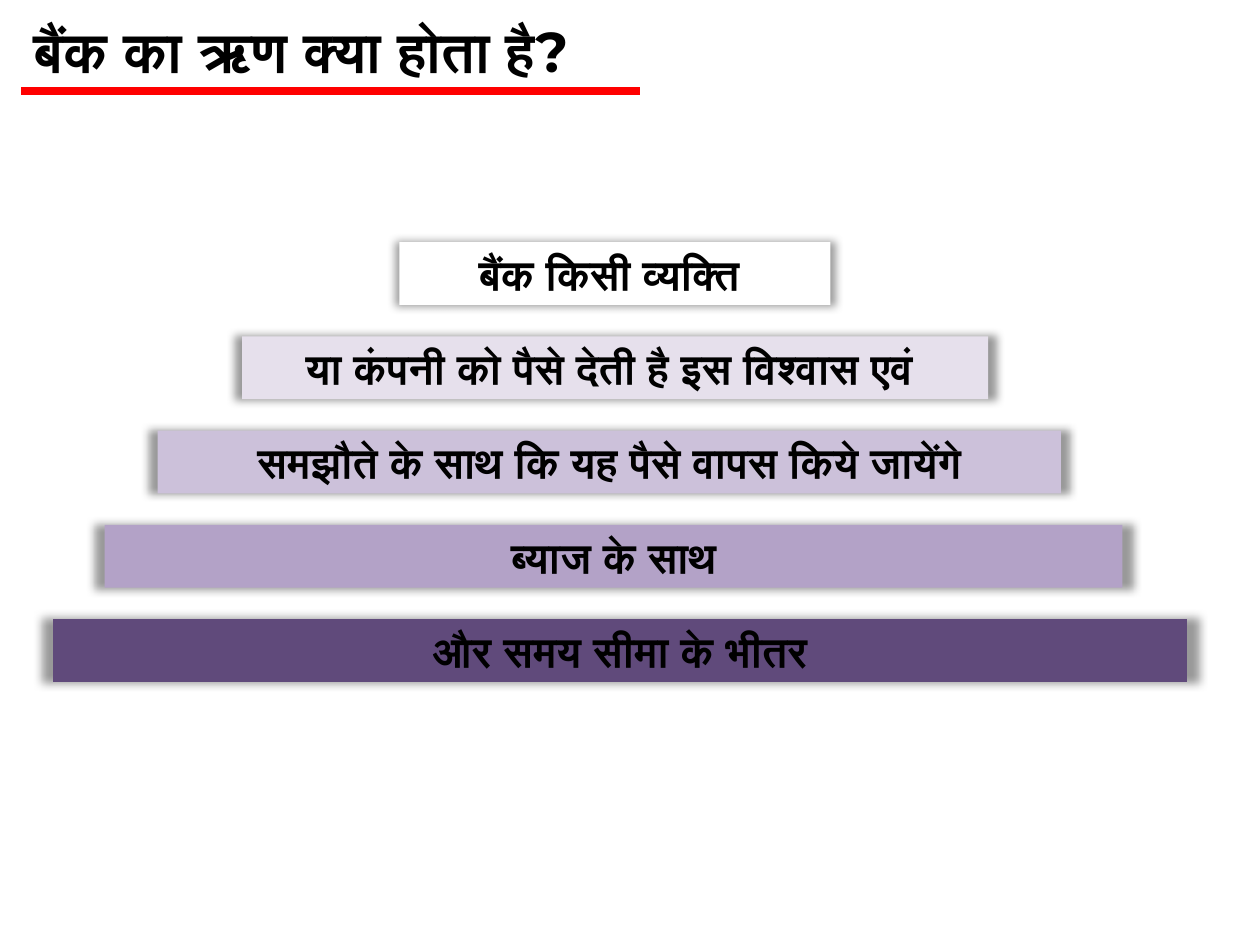
from lxml import etree
from pptx import Presentation
from pptx.dml.color import RGBColor
from pptx.enum.shapes import MSO_CONNECTOR
from pptx.enum.text import MSO_AUTO_SIZE, PP_ALIGN
from pptx.oxml.ns import qn
from pptx.util import Cm, Pt

BLACK = RGBColor(0x00, 0x00, 0x00)
RED = RGBColor(0xFF, 0x00, 0x00)
WHITE = RGBColor(0xFF, 0xFF, 0xFF)
LILAC_PALE = RGBColor(0xE6, 0xE0, 0xEC)
LILAC_LIGHT = RGBColor(0xCC, 0xC1, 0xDA)
LILAC = RGBColor(0xB3, 0xA2, 0xC7)
PURPLE = RGBColor(0x60, 0x4A, 0x7B)

STEP_TOP, STEP_PITCH, STEP_HEIGHT = 4.88, 1.9, 1.27
# Left and width in cm, fill, text; from the top of the pyramid down
STEPS = [
    (8.05, 8.69, WHITE, "बैंक किसी व्यक्ति "),
    (4.88, 15.04, LILAC_PALE, "या कंपनी को पैसे देती है इस विश्वास एवं "),
    (3.18, 18.21, LILAC_LIGHT, "समझौते के साथ कि यह पैसे वापस किये जायेंगे"),
    (2.11, 20.52, LILAC, "ब्याज के साथ"),
    (1.07, 22.86, PURPLE, "और समय सीमा के भीतर"),
]


def add_text(page, left, top, width, height, text, font_name, size, align):
    box = page.shapes.add_textbox(Cm(left), Cm(top), Cm(width), Cm(height))
    frame = box.text_frame
    frame.word_wrap = True
    frame.auto_size = MSO_AUTO_SIZE.SHAPE_TO_FIT_TEXT
    frame.text = text
    para = frame.paragraphs[0]
    para.alignment = align
    font = para.runs[0].font
    font.name = font_name
    font.size = Pt(size)
    font.bold = True
    font.color.rgb = BLACK
    return box


def add_glow_shadow(box):
    """Put a soft, slightly enlarged shadow evenly around the box."""
    effects = etree.SubElement(box._element.spPr, qn("a:effectLst"))
    shadow = etree.SubElement(
        effects, qn("a:outerShdw"), blurRad=str(Pt(5)),
        sx="102000", sy="102000", algn="ctr", rotWithShape="0")
    colour = etree.SubElement(shadow, qn("a:srgbClr"), val=str(BLACK))
    etree.SubElement(colour, qn("a:alpha"), val="40000")


def add_step(page, index, left, width, fill, text):
    box = add_text(page, left, STEP_TOP + index * STEP_PITCH, width,
                   STEP_HEIGHT, text, "Arial", 24, PP_ALIGN.CENTER)
    box.fill.solid()
    box.fill.fore_color.rgb = fill
    add_glow_shadow(box)


def add_rule(page, left, right, y):
    rule = page.shapes.add_connector(
        MSO_CONNECTOR.STRAIGHT, Cm(left), Cm(y), Cm(right), Cm(y))
    rule.line.color.rgb = RED
    rule.line.width = Pt(4.5)
    etree.SubElement(rule._element.spPr, qn("a:effectLst"))


def main():
    deck = Presentation()
    deck.slide_width, deck.slide_height = Cm(25.4), Cm(19.05)
    page = deck.slides.add_slide(deck.slide_layouts[6])
    add_text(page, 0.43, 0.2, 13.77, 1.63, "बैंक का ऋण क्या होता है?",
             "Montserrat", 32, PP_ALIGN.LEFT)
    add_rule(page, 0.43, 12.9, 1.83)
    for index, step in enumerate(STEPS):
        add_step(page, index, *step)
    deck.save("out.pptx")


if __name__ == "__main__":
    main()
